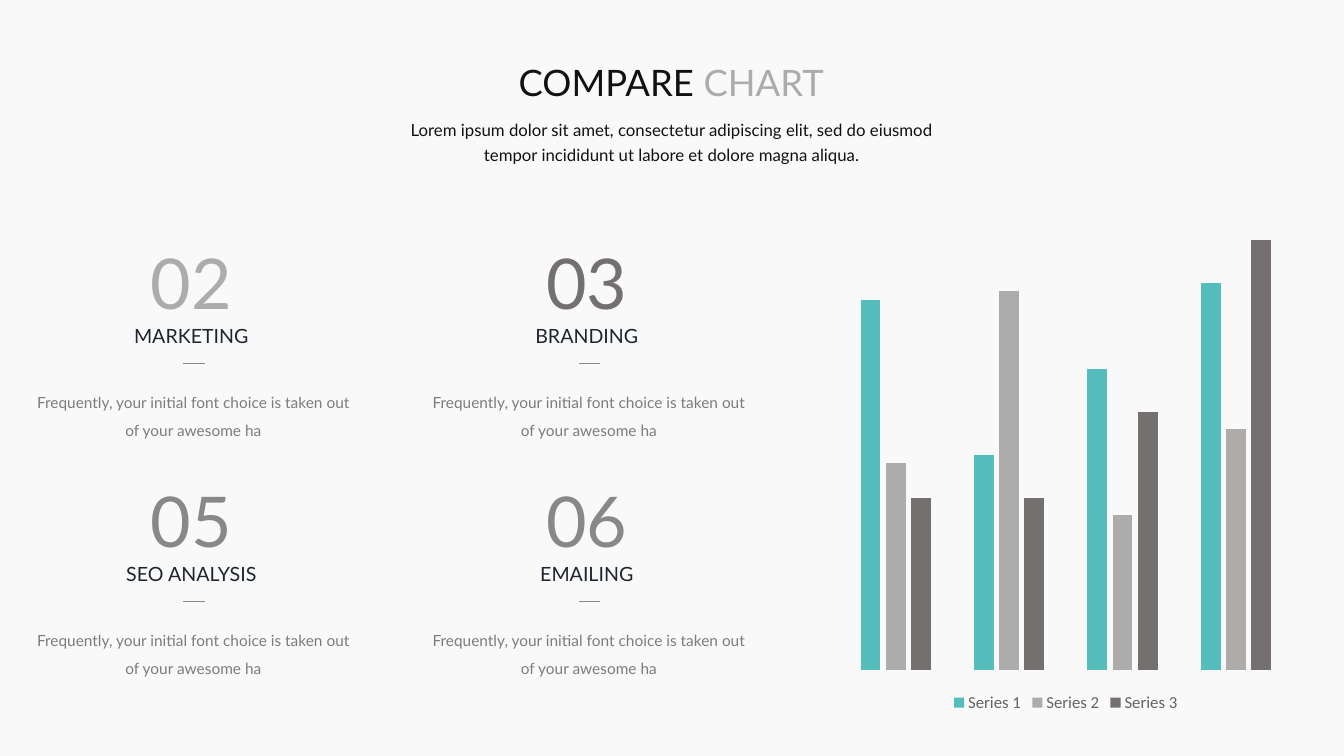
from dataclasses import dataclass

from lxml.etree import SubElement
from pptx import Presentation
from pptx.chart.data import CategoryChartData
from pptx.dml.color import RGBColor
from pptx.enum.chart import XL_CHART_TYPE as ChartType, XL_LEGEND_POSITION as LegendPos
from pptx.enum.shapes import MSO_CONNECTOR as Connector
from pptx.enum.text import MSO_AUTO_SIZE as AutoSize, PP_ALIGN as Align
from pptx.oxml.ns import qn
from pptx.util import Pt

COLORS = {
    "background": "F9F9F9", "ink": "111111", "heading": "1E252E",
    "body": "7C7C7C", "legend": "646464", "gray": "888888",
    "teal": "56BDBD", "silver": "AEABAB", "dark": "757070",
}
BODY = "Frequently, your initial font choice is taken out of your awesome ha"
COL_PITCH, ROW_PITCH = 282.5, 170


@dataclass
class Topic:
    number: str
    heading: str
    color: str


@dataclass
class Series:
    name: str
    values: tuple[int, ...]
    color: str


@dataclass
class Box:
    left: float
    top: float
    width: float
    height: float
    inset: tuple[float, float] = (0, 0)
    wrap: bool = False


TOPICS = [
    Topic("02", "MARKETING", "silver"), Topic("03", "BRANDING", "dark"),
    Topic("05", "SEO ANALYSIS", "gray"), Topic("06", "EMAILING", "gray"),
]
SERIES = [
    Series("Series 1", (86, 50, 70, 90), "teal"),
    Series("Series 2", (48, 88, 36, 56), "silver"),
    Series("Series 3", (40, 40, 60, 100), "dark"),
]


def rgb(name: str) -> RGBColor:
    return RGBColor.from_string(COLORS[name])


def style(font, size: float, color: str, face: str = "Lato") -> None:
    font.name, font.size = face, Pt(size)
    font.color.rgb = rgb(color)


def add_text(s, box: Box, text: str, size: float, color: str, spacing=None):
    tf = s.shapes.add_textbox(Pt(box.left), Pt(box.top), Pt(box.width), Pt(box.height)).text_frame
    tf.margin_left = tf.margin_right = Pt(box.inset[0])
    tf.margin_top = tf.margin_bottom = Pt(box.inset[1])
    tf.word_wrap = box.wrap
    tf.auto_size = AutoSize.SHAPE_TO_FIT_TEXT
    tf.text = text
    p = tf.paragraphs[0]
    p.alignment = Align.CENTER
    if spacing is not None:
        p.line_spacing = spacing
    style(p.runs[0].font, size, color)
    return p


def add_topic(s, topic: Topic, x: float, y: float) -> None:
    add_text(s, Box(x + 88, y, 73, 67.5, (7.2, 3.6)), topic.number, 50, topic.color)
    add_text(s, Box(x + 68.5, y + 63.4, 112, 20.2, (7.2, 3.6)), topic.heading, 14, "heading", Pt(13.4))
    rule = s.shapes.add_connector(Connector.STRAIGHT, Pt(x + 118.8), Pt(y + 91.4),
                                  Pt(x + 133.9), Pt(y + 91.4))
    rule.line.color.rgb = rgb("gray")
    rule.line.width = Pt(0.5)
    SubElement(rule.element.spPr, qn("a:effectLst"))
    add_text(s, Box(x, y + 102.2, 252, 46, (8.64, 4.32), True), BODY, 11, "body", 1.5)


def add_compare_chart(s) -> None:
    data = CategoryChartData()
    data.categories = ["1", "2", "3", "4"]
    for series in SERIES:
        data.add_series(series.name, series.values)
    chart = s.shapes.add_chart(ChartType.COLUMN_CLUSTERED, Pt(592.5), Pt(101.5),
                               Pt(337.7), Pt(410.4), data).chart
    style(chart.font, 10, "ink", "Calibri")
    chart.has_title = False
    chart.has_legend = True
    chart.legend.position = LegendPos.BOTTOM
    chart.legend.include_in_layout = False
    style(chart.legend.font, 12, "legend", "Calibri")
    chart.value_axis.minimum_scale, chart.value_axis.maximum_scale = 0, 120
    chart.value_axis.has_major_gridlines = False
    chart.value_axis.visible = chart.category_axis.visible = False
    plot = chart.plots[0]
    plot.gap_width, plot.overlap, plot.vary_by_categories = 219, -27, False
    for bars, series in zip(plot.series, SERIES):
        bars.format.fill.solid()
        bars.format.fill.fore_color.rgb = rgb(series.color)


def main() -> None:
    prs = Presentation()
    prs.slide_width, prs.slide_height = Pt(960), Pt(540)
    s = prs.slides.add_slide(prs.slide_layouts[6])
    s.background.fill.solid()
    s.background.fill.fore_color.rgb = rgb("background")

    # Chart
    add_compare_chart(s)

    # Topic grid
    for i, topic in enumerate(TOPICS):
        row, col = divmod(i, 2)
        add_topic(s, topic, 12.2 + col * COL_PITCH, 167.8 + row * ROW_PITCH)

    # Title and introduction
    p = add_text(s, Box(367.2, 43.2, 224.6, 31.7), "COMPARE ", 26, "ink")
    r = p.add_run()
    r.text = "CHART"
    style(r.font, 26, "silver")
    add_text(s, Box(278.6, 82.1, 402.5, 36, wrap=True),
             "Lorem ipsum dolor sit amet, consectetur adipiscing elit, sed do eiusmod "
             "tempor incididunt ut labore et dolore magna aliqua.", 12, "ink", 1.25)

    prs.save("out.pptx")


if __name__ == "__main__":
    main()
